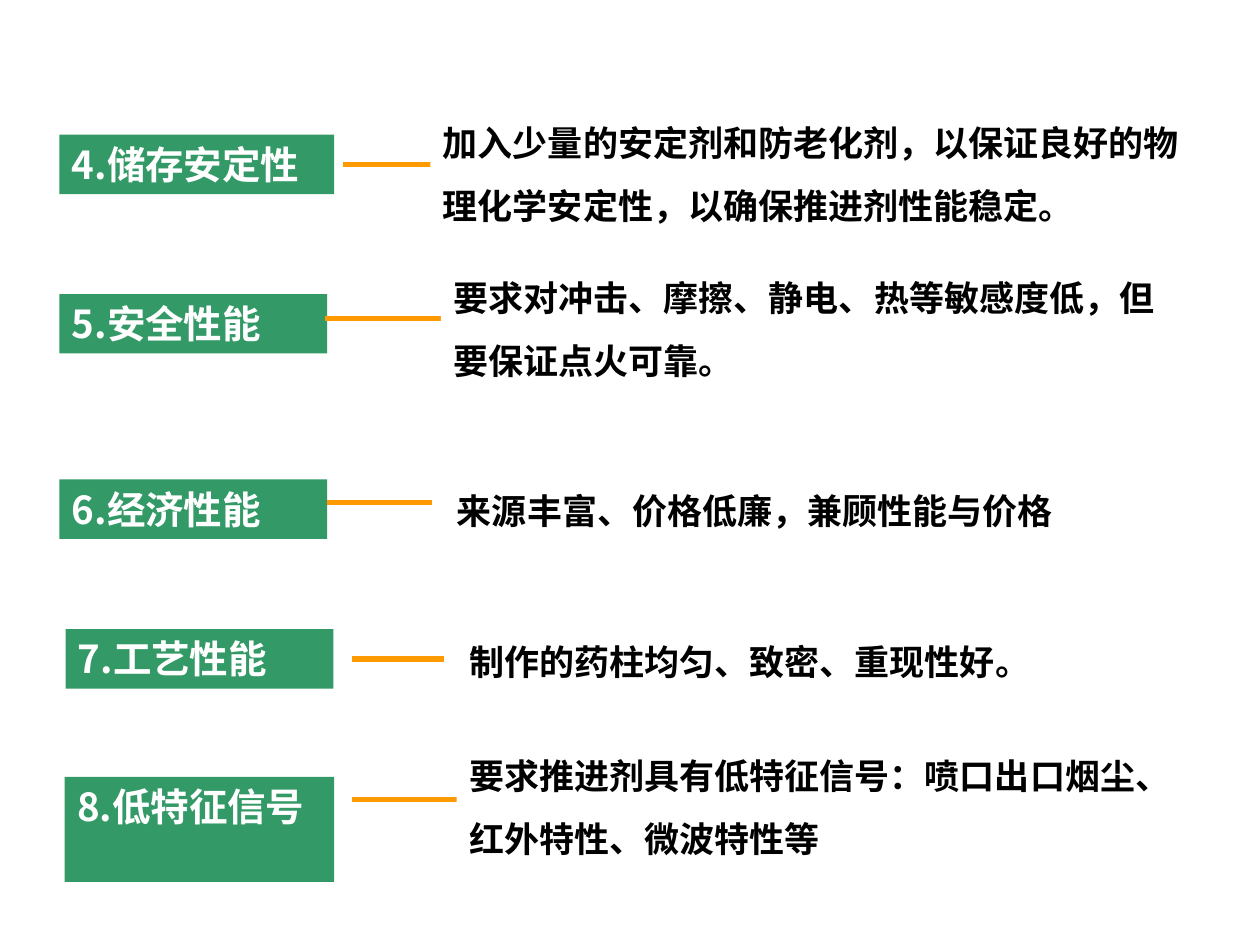
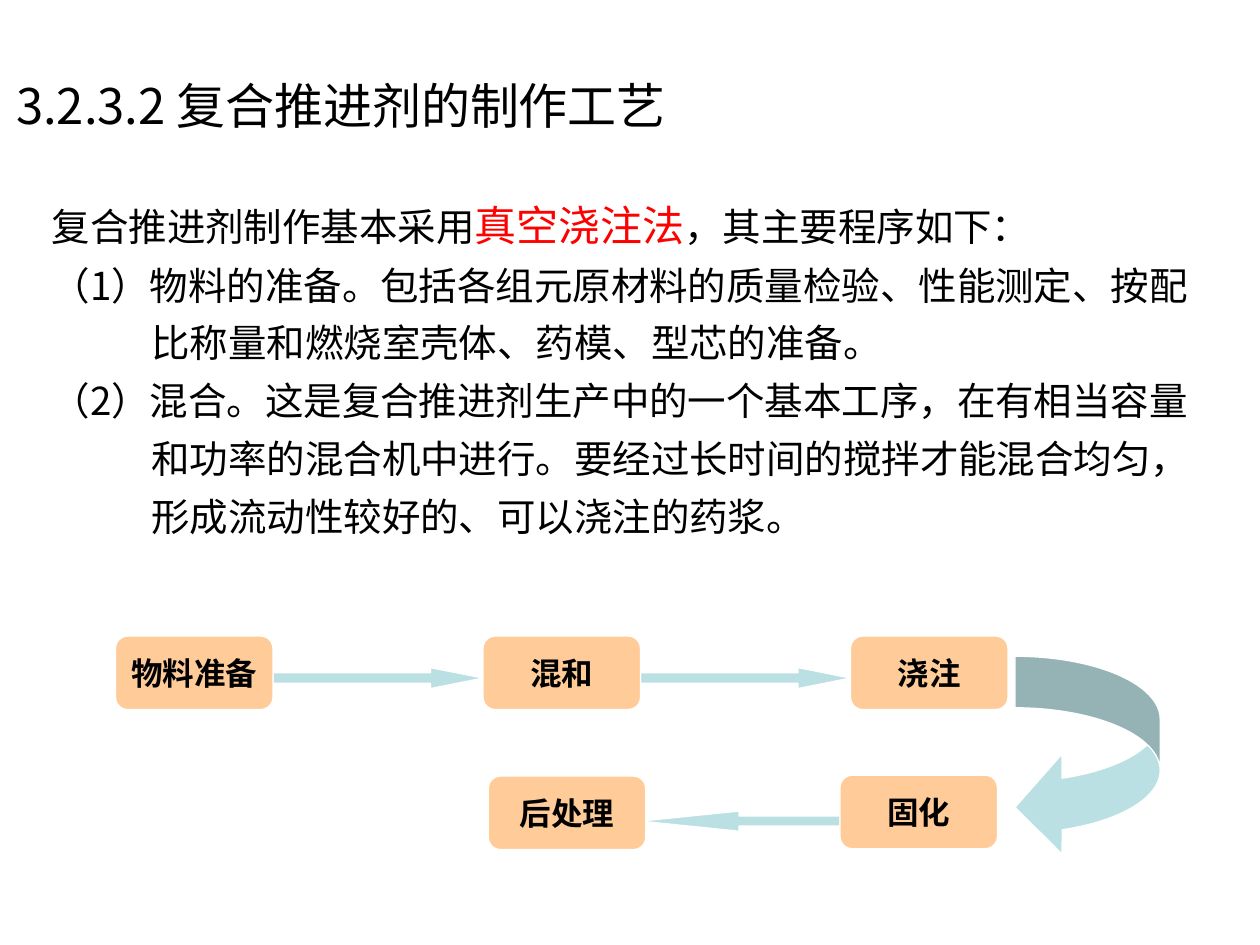
from lxml.etree import SubElement
from pptx import Presentation
from pptx.dml.color import RGBColor
from pptx.enum.shapes import MSO_CONNECTOR, MSO_SHAPE
from pptx.enum.text import MSO_ANCHOR, MSO_AUTO_SIZE, PP_ALIGN
from pptx.oxml.ns import qn
from pptx.util import Pt

FONT = "Noto Sans CJK SC"
BLACK, WHITE, RED = "000000", "FFFFFF", "FF0000"
GREEN, ORANGE, PEACH, PALE_BLUE = "339966", "FF9900", "FFCC99", "BBE0E3"
TITLE_ONLY, BLANK = 5, 6

# Label, its box, connector (start, end, height), text, its box
REQUIREMENTS = [
    ("4.储存安定性", (34, 77, 157, 34), (196, 250, 94),
     "加入少量的安定剂和防老化剂，以保证良好的物理化学安定性，以确保推进剂性能稳定。",
     (246, 54, 454, 79)),
    ("5.安全性能", (34, 168, 153, 34), (186, 261, 182),
     "要求对冲击、摩擦、静电、热等敏感度低，但要保证点火可靠。",
     (252, 142.5, 416, 79)),
    ("6.经济性能", (34, 274, 153, 34), (187, 247, 287),
     "来源丰富、价格低廉，兼顾性能与价格", (254, 264, 414, 43)),
    ("7.工艺性能", (37.5, 359.5, 153, 34), (201, 254, 376.5),
     "制作的药柱均匀、致密、重现性好。", (261, 350.5, 387, 43)),
    ("8.低特征信号", (37, 444, 154, 60), (201, 264, 457),
     "要求推进剂具有低特征信号：喷口出口烟尘、红外特性、微波特性等",
     (261, 415.5, 407.5, 79)),
]

INTRODUCTION = [("复合推进剂制作基本采用", 22, BLACK), ("真空浇注法", 24, RED),
                ("，其主要程序如下：", 22, BLACK)]
STEPS = [
    "（1）物料的准备。包括各组元原材料的质量检验、性能测定、按配比称量和燃烧室壳体、药模、型芯的准备。",
    "（2）混合。这是复合推进剂生产中的一个基本工序，在有相当容量和功率的混合机中进行。"
    "要经过长时间的搅拌才能混合均匀，形成流动性较好的、可以浇注的药浆。",
]


def rgb(color):
    return RGBColor.from_string(color)


def box_points(box):
    return [Pt(length) for length in box]


def format_font(font, size, color, bold=False):
    font.size, font.bold, font.name = Pt(size), bold, FONT
    font.color.rgb = rgb(color)
    properties = font._element if hasattr(font, "_element") else font._rPr
    SubElement(properties, qn("a:ea")).set("typeface", FONT)


def add_block(slide, kind, box, fill, line=None, adjustments=()):
    shape = slide.shapes.add_shape(kind, *box_points(box))
    shape.shadow.inherit = False
    shape.fill.solid()
    shape.fill.fore_color.rgb = rgb(fill)
    if line:
        shape.line.color.rgb = rgb(line)
        shape.line.width = Pt(0.75)
    else:
        shape.line.fill.background()
    for index, value in enumerate(adjustments):
        shape.adjustments[index] = value
    return shape


def write_text(shape, text, size, color, bold=False, alignment=PP_ALIGN.LEFT,
               anchor=MSO_ANCHOR.TOP, wrap=True, spacing=None):
    frame = shape.text_frame
    frame.auto_size = MSO_AUTO_SIZE.NONE
    frame.word_wrap, frame.vertical_anchor = wrap, anchor
    frame.text = text
    paragraph = frame.paragraphs[0]
    paragraph.alignment = alignment
    if spacing:
        paragraph.line_spacing = spacing
    format_font(paragraph.font, size, color, bold)


# Requirement row: green label, orange line, description
def add_requirement(slide, label, label_box, line, description, description_box):
    tag = add_block(slide, MSO_SHAPE.RECTANGLE, label_box, GREEN)
    write_text(tag, label, 22, WHITE, bold=True)

    start, end, height = line
    connector = slide.shapes.add_connector(
        MSO_CONNECTOR.STRAIGHT, *box_points((start, height, end, height)))
    connector.line.color.rgb = rgb(ORANGE)
    connector.line.width = Pt(3)
    SubElement(connector._element.spPr, qn("a:effectLst"))

    panel = add_block(slide, MSO_SHAPE.RECTANGLE, description_box, WHITE)
    write_text(panel, description, 20, BLACK, bold=True, spacing=1.5)


def add_title(slide, text, box):
    title = slide.shapes.title
    title.left, title.top, title.width, title.height = box_points(box)
    write_text(title, text, 28, BLACK, wrap=False)


# Introduction and numbered steps with hanging indents
def add_procedure(slide, box):
    frame = slide.shapes.add_textbox(*box_points(box)).text_frame
    frame.word_wrap = True
    paragraphs = [INTRODUCTION] + [[(step, 22, BLACK)] for step in STEPS]
    for index, runs in enumerate(paragraphs):
        paragraph = frame.add_paragraph() if index else frame.paragraphs[0]
        paragraph.line_spacing = 1.25
        properties = paragraph._p.get_or_add_pPr()
        properties.set("marL", str(Pt(57)))
        properties.set("indent", str(Pt(-57)))
        format_font(paragraph.font, 22, BLACK)
        for text, size, color in runs:
            run = paragraph.add_run()
            run.text = text
            if color != BLACK:
                run.font.size = Pt(size)
                run.font.color.rgb = rgb(color)


# Process flow: three stages to the right, then two back to the left
def add_flow(slide, left, top):
    node_width, node_height, pitch = 90, 42, 210
    arrow_length = pitch - node_width
    stages = [("物料准备", 0, 0), ("混和", pitch, 0), ("浇注", 2 * pitch, 0),
              ("固化", 414, 79.5), ("后处理", 213, 80)]
    arrows = [
        (MSO_SHAPE.RIGHT_ARROW, (node_width, 18, arrow_length, 12), (0.5, 2.5)),
        (MSO_SHAPE.RIGHT_ARROW, (pitch + node_width, 18, arrow_length, 12), (0.5, 2.5)),
        (MSO_SHAPE.CURVED_LEFT_ARROW, (514, 11.5, 83, 115), (0.355, 0.69, 0.325)),
        (MSO_SHAPE.LEFT_ARROW, (300, 100, 114, 11.5), (0.5, 4.89)),
    ]
    for kind, (x, y, width, height), adjustments in arrows:
        add_block(slide, kind, (left + x, top + y, width, height),
                  PALE_BLUE, WHITE, adjustments)
    for text, x, y in stages:
        node = add_block(slide, MSO_SHAPE.ROUNDED_RECTANGLE,
                         (left + x, top + y, node_width, node_height), PEACH, WHITE)
        write_text(node, text, 18, BLACK, bold=True, alignment=PP_ALIGN.CENTER,
                   anchor=MSO_ANCHOR.MIDDLE, wrap=False)


def build_requirements_slide(presentation):
    slide = presentation.slides.add_slide(presentation.slide_layouts[BLANK])
    for requirement in REQUIREMENTS:
        add_requirement(slide, *requirement)


def build_process_slide(presentation):
    slide = presentation.slides.add_slide(presentation.slide_layouts[TITLE_ONLY])
    add_flow(slide, 66, 363.5)
    add_title(slide, "3.2.3.2 复合推进剂的制作工艺", (2, 39.5, 435, 41))
    add_procedure(slide, (22.5, 103.5, 664, 208))


def main():
    presentation = Presentation()
    presentation.slide_width, presentation.slide_height = Pt(720), Pt(540)
    build_requirements_slide(presentation)
    build_process_slide(presentation)
    presentation.save("out.pptx")


if __name__ == "__main__":
    main()
